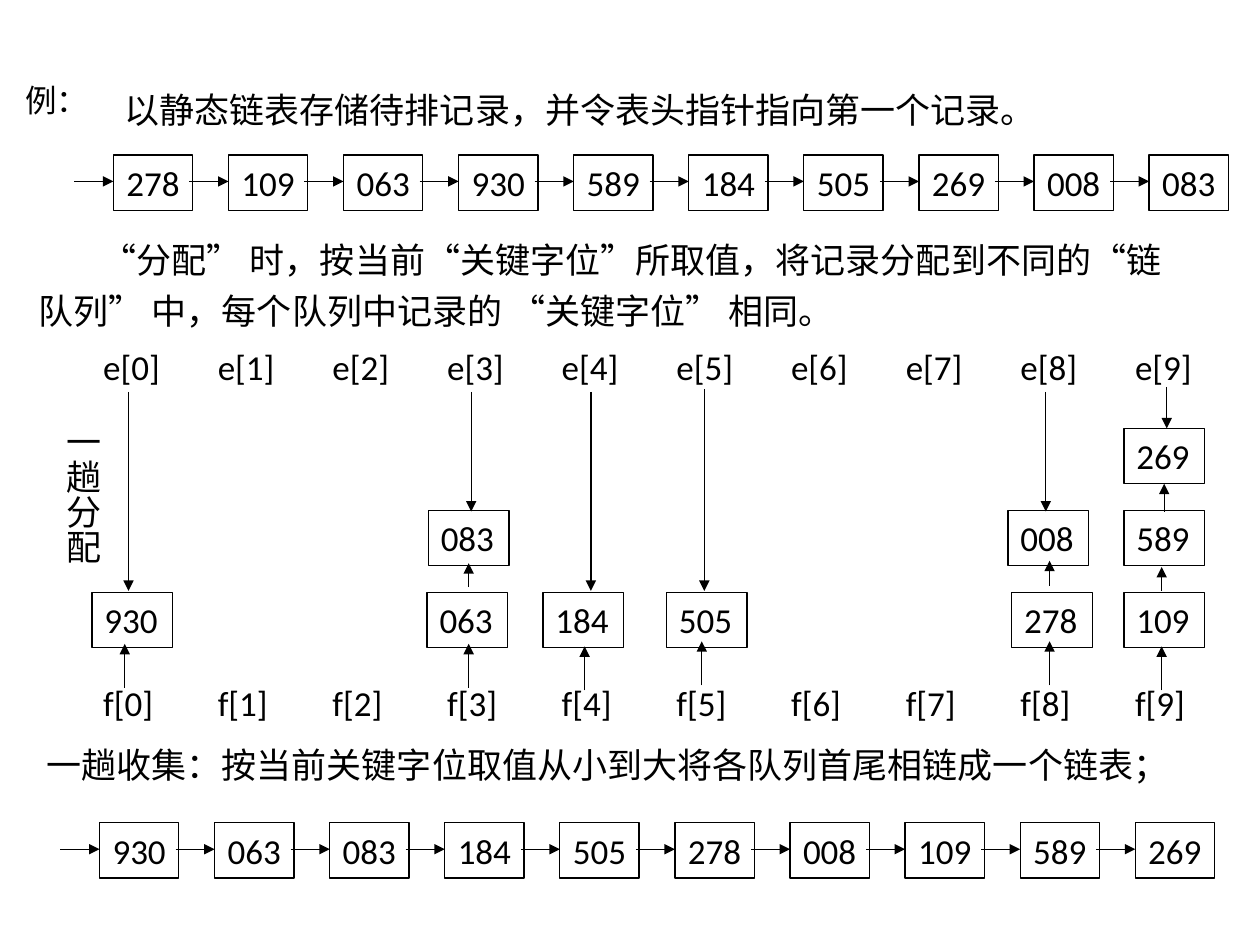
import pptx
import pptx.dml.color
import pptx.enum.shapes
import pptx.enum.text
import pptx.oxml.ns
import pptx.util
from lxml import etree
from pptx.util import Inches

BLACK = "000000"
WHITE = "FFFFFF"


def colour(hex_text):
    return pptx.dml.color.RGBColor.from_string(hex_text)


def add_element(parent, tag, **attributes):
    return etree.SubElement(parent, pptx.oxml.ns.qn(tag), **attributes)


class Board:
    """Holds the style and the current slide."""

    latin_font = "Calibri"
    asian_font = "Noto Sans CJK SC"
    text_size = 20
    line_width = 0.75

    def __init__(self, slide):
        self.slide = slide
        fill = slide.background.fill
        fill.solid()
        fill.fore_color.rgb = colour(WHITE)

    def set_text(self, shape, text, size=None, spacing=None, wrap=False,
                 centred=False, indent=0):
        frame = shape.text_frame
        frame.word_wrap = wrap
        frame.auto_size = pptx.enum.text.MSO_AUTO_SIZE.NONE
        anchors = pptx.enum.text.MSO_ANCHOR
        frame.vertical_anchor = anchors.MIDDLE if centred else anchors.TOP
        paragraph = frame.paragraphs[0]
        aligns = pptx.enum.text.PP_ALIGN
        paragraph.alignment = aligns.CENTER if centred else aligns.LEFT
        if spacing:
            paragraph.line_spacing = spacing
        run = paragraph.add_run()
        run.text = text
        run.font.size = pptx.util.Pt(size or self.text_size)
        run.font.name = self.latin_font
        run.font.color.rgb = colour(BLACK)
        add_element(run._r.get_or_add_rPr(), "a:ea", typeface=self.asian_font)
        if indent:
            settings = paragraph._p.get_or_add_pPr()
            settings.set("marL", "0")
            settings.set("indent", str(Inches(indent)))

    def label(self, text, left, top, width, height, vertical=False, **style):
        shape = self.slide.shapes.add_textbox(
            Inches(left), Inches(top), Inches(width), Inches(height))
        self.set_text(shape, text, **style)
        if vertical:
            body = shape.element.txBody.find(pptx.oxml.ns.qn("a:bodyPr"))
            body.set("vert", "eaVert")

    def record(self, text, left, top, width, centred=False):
        shape = self.slide.shapes.add_shape(
            pptx.enum.shapes.MSO_SHAPE.RECTANGLE,
            Inches(left), Inches(top), Inches(width), Inches(0.44))
        shape.shadow.inherit = False
        shape.fill.background()
        shape.line.color.rgb = colour(BLACK)
        shape.line.width = pptx.util.Pt(self.line_width)
        self.set_text(shape, text, centred=centred, wrap=not centred)

    def arrow(self, start_x, start_y, end_x, end_y):
        connector = self.slide.shapes.add_connector(
            pptx.enum.shapes.MSO_CONNECTOR.STRAIGHT,
            Inches(start_x), Inches(start_y), Inches(end_x), Inches(end_y))
        connector.line.color.rgb = colour(BLACK)
        connector.line.width = pptx.util.Pt(self.line_width)
        add_element(connector.get_or_add_ln(), "a:tailEnd", type="triangle")
        add_element(connector.element.spPr, "a:effectLst")

    def chain(self, keys, left, top):
        pitch = 8.22 / 9
        for index, key in enumerate(keys):
            x = left + index * pitch
            self.record(key, x, top, 0.63, centred=True)
            self.arrow(x - 0.31, top + 0.21, x, top + 0.21)


# Each queue: records as (key, left, row from the bottom),
# arrows as (x, start y, end y)
QUEUES = [
    ([("930", 0.73, 0)], [(0.99, 5.46, 5.11), (1.02, 3.11, 4.69)]),
    ([("063", 3.39, 0), ("083", 3.4, 1)],
     [(3.72, 5.46, 5.11), (3.72, 4.66, 4.47), (3.74, 3.11, 4.06)]),
    ([("184", 4.31, 0)], [(4.64, 5.48, 5.13), (4.69, 3.11, 4.69)]),
    ([("505", 5.29, 0)], [(5.57, 5.44, 5.09), (5.59, 3.09, 4.69)]),
    ([("278", 8.03, 0), ("008", 8, 1)],
     [(8.33, 5.44, 5.09), (8.33, 4.65, 4.45), (8.3, 3.11, 4.06)]),
    ([("109", 8.92, 0), ("589", 8.92, 1), ("269", 8.92, 2)],
     [(9.22, 5.48, 5.13), (9.22, 4.69, 4.5), (9.24, 4.06, 3.84),
      (9.26, 3.07, 3.4)]),
]


def main():
    presentation = pptx.Presentation()
    presentation.slide_width = Inches(10)
    presentation.slide_height = Inches(7.5)
    board = Board(presentation.slides.add_slide(presentation.slide_layouts[6]))

    # Introduction and the list before sorting
    board.label("例：", 0.1, 0.55, 0.98, 0.56, size=18, spacing=1.15)
    board.label("以静态链表存储待排记录，并令表头指针指向第一个记录。",
                0.89, 0.72, 7.54, 0.37, spacing=0.8)
    board.chain("278 109 063 930 589 184 505 269 008 083".split(), 0.9, 1.23)

    # Distribution into queues
    board.label("“分配” 时，按当前“关键字位”所取值，将记录分配到不同的“链队列” 中，"
                "每个队列中记录的 “关键字位” 相同。",
                0.21, 1.78, 9.35, 0.9, spacing=1.2, wrap=True, indent=0.5)
    board.label("一趟分配", 0.34, 3.27, 0.53, 1.27, vertical=True)
    for digit in range(10):
        left = 0.72 + 0.91 * digit
        board.label(f"e[{digit}]", left, 2.69, 0.65, 0.43)
        board.label(f"f[{digit}]", left, 5.36, 0.62, 0.43)
    for records, arrows in QUEUES:
        for key, left, row in records:
            board.record(key, left, 4.7 - 0.65 * row, 0.64)
        for x, start_y, end_y in arrows:
            board.arrow(x, start_y, x, end_y)

    # Collection into one list
    board.label("一趟收集：按当前关键字位取值从小到大将各队列首尾相链成一个链表；",
                0.27, 5.85, 9.22, 0.52)
    board.chain("930 063 083 184 505 278 008 109 589 269".split(), 0.79, 6.53)

    presentation.save("out.pptx")


if __name__ == "__main__":
    main()
